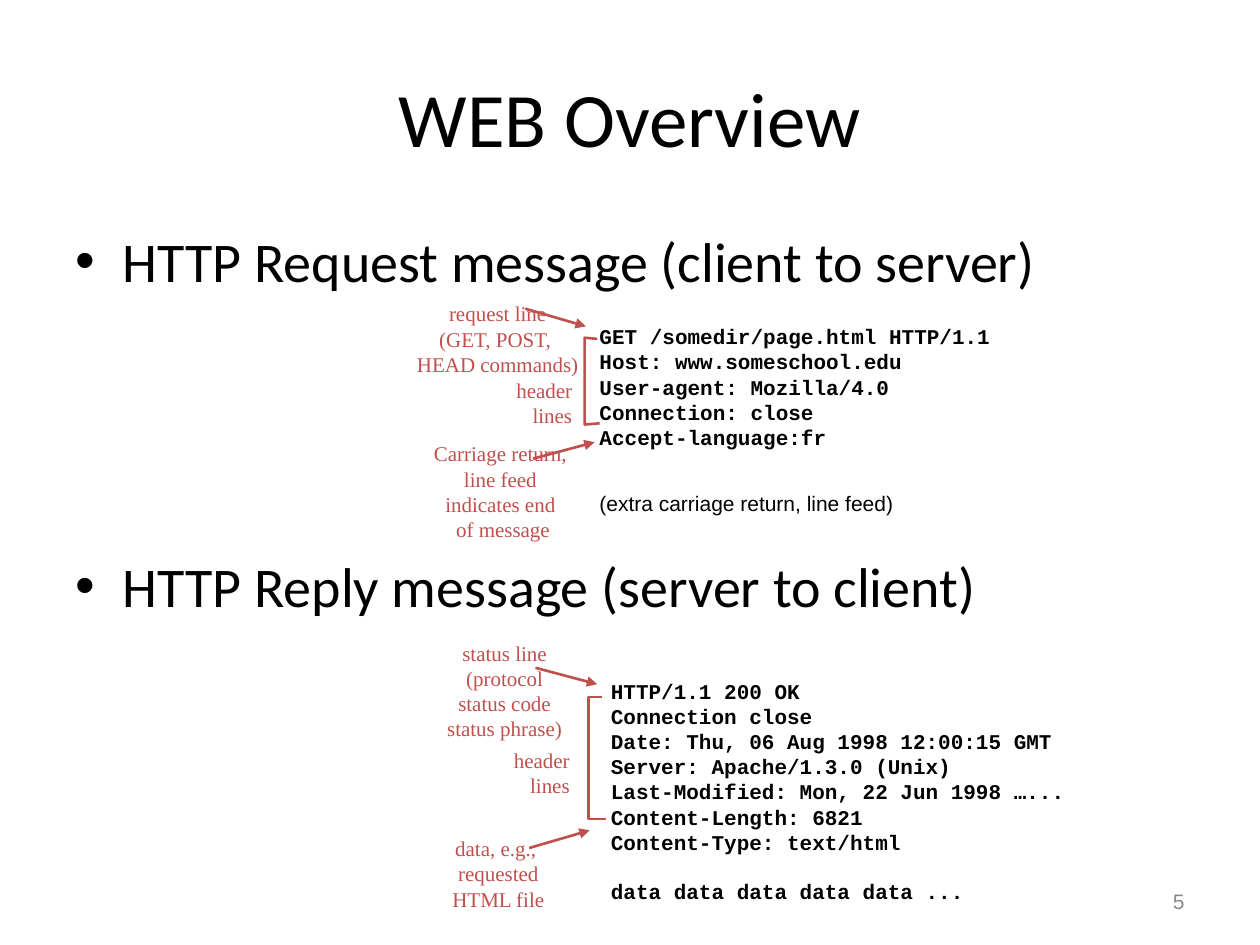
from lxml.etree import SubElement
from pptx import Presentation
from pptx.dml.color import RGBColor
from pptx.enum.shapes import MSO_CONNECTOR
from pptx.enum.text import MSO_ANCHOR, PP_ALIGN
from pptx.oxml.ns import qn
from pptx.util import Pt

BLACK = RGBColor(0, 0, 0)
RED = RGBColor(0xC0, 0x50, 0x4D)
GREY = RGBColor(0x89, 0x89, 0x89)

TITLE = "WEB Overview"
HEADS = ["HTTP Request message (client to server)",
         "HTTP Reply message (server to client)"]
REQUEST = ["GET /somedir/page.html HTTP/1.1", "Host: www.someschool.edu",
           "User-agent: Mozilla/4.0", "Connection: close",
           "Accept-language:fr", "(extra carriage return, line feed)"]
REPLY = ["HTTP/1.1 200 OK", "Connection close",
         "Date: Thu, 06 Aug 1998 12:00:15 GMT", "Server: Apache/1.3.0 (Unix)",
         "Last-Modified: Mon, 22 Jun 1998 …...", "Content-Length: 6821",
         "Content-Type: text/html", "data data data data data ..."]
CODES = [(REQUEST, (335.5, 181.4, 237.6, 118), 23.5),
         (REPLY, (342, 384, 280.8, 136.8), 13.6)]
HEADER = ["header", "lines"]
NOTES = [
    (["request line", "(GET, POST, ", "HEAD commands)"],
     (231.1, 168.5, 106.6, 50.4), PP_ALIGN.CENTER),
    (HEADER, (280, 212, 54.1, 36), PP_ALIGN.RIGHT),
    (["Carriage return, ", "line feed ", "indicates end ", "of message"],
     (239.5, 248.4, 95.9, 64.8), PP_ALIGN.CENTER),
    (["status line", "(protocol", "status code", "status phrase)"],
     (248.4, 362.2, 79.9, 64.8), PP_ALIGN.CENTER),
    (HEADER, (278.6, 423.4, 54.1, 36), PP_ALIGN.RIGHT),
    (["data, e.g., ", "requested", "HTML file"],
     (251.3, 474, 67, 50.4), PP_ALIGN.CENTER),
]
ARROWS = [(300.2, 176.4, 334.8, 186.5), (304.6, 262.1, 339.8, 252.7),
          (306, 381.6, 341.3, 391), (302.4, 484.6, 337, 474.5)]
BRACKETS = [[(341.3, 193.7), (334.1, 193), (334.1, 242.6), (342.7, 241.9)],
            [(344.2, 398.2), (336.2, 398.2), (336.2, 468), (346.3, 468)]]


def put(shape, lines, font="Calibri", size=12, color=BLACK, bold=False,
        align=PP_ALIGN.LEFT, anchor=MSO_ANCHOR.TOP, wrap=True, gap=0,
        bullet=False):
    frame = shape.text_frame
    frame.word_wrap = wrap
    frame.vertical_anchor = anchor
    for i, line in enumerate(lines):
        para = frame.add_paragraph() if i else frame.paragraphs[0]
        para.alignment = align
        para.space_before = Pt(gap if i and i == len(lines) - 1 else 0)
        if bullet:
            props = para._p.get_or_add_pPr()
            props.set("marL", str(Pt(27)))
            props.set("indent", str(-Pt(27)))
            SubElement(props, qn("a:buFont")).set("typeface", "Arial")
            SubElement(props, qn("a:buChar")).set("char", "•")
        run = para.add_run()
        run.text = line
        run.font.name = font
        run.font.size = Pt(size)
        run.font.bold = bold
        run.font.color.rgb = color
    return frame


def area(box):
    return [Pt(n) for n in box]


def stroke(shape):
    shape.line.color.rgb = RED
    shape.line.width = Pt(1.5)


deck = Presentation()
deck.slide_width, deck.slide_height = Pt(720), Pt(540)
slide = deck.slides.add_slide(deck.slide_layouts[5])
shapes = slide.shapes

title = shapes.title
title.left, title.top, title.width, title.height = area((36, 21.6, 648, 90))
put(title, [TITLE], size=44, align=PP_ALIGN.CENTER, anchor=MSO_ANCHOR.MIDDLE)
put(shapes.add_textbox(*area((36, 126, 648, 356.4))), HEADS,
    size=32, gap=147, bullet=True)
put(shapes.add_textbox(*area((516.2, 500.4, 167.8, 28.8))), ["5"],
    font="Arial", color=GREY, align=PP_ALIGN.RIGHT, anchor=MSO_ANCHOR.MIDDLE)

for lines, box, gap in CODES:
    frame = put(shapes.add_textbox(*area(box)), lines, font="Courier New",
                bold=True, wrap=False, gap=gap)
    if lines is REQUEST:
        font = frame.paragraphs[-1].runs[0].font
        font.name, font.bold = "Arial", False

for lines, box, align in NOTES:
    put(shapes.add_textbox(*area(box)), lines, font="Times New Roman",
        color=RED, align=align, wrap=False)

for ends in ARROWS:
    arrow = shapes.add_connector(MSO_CONNECTOR.STRAIGHT, *area(ends))
    stroke(arrow)
    props = arrow._element.spPr
    SubElement(props.get_or_add_ln(), qn("a:tailEnd")).set("type", "triangle")
    SubElement(props, qn("a:effectLst"))

for first, *rest in BRACKETS:
    pen = shapes.build_freeform(*area(first))
    pen.add_line_segments([area(spot) for spot in rest], close=False)
    bracket = pen.convert_to_shape()
    bracket.fill.background()
    bracket.shadow.inherit = False
    stroke(bracket)

deck.save("out.pptx")
